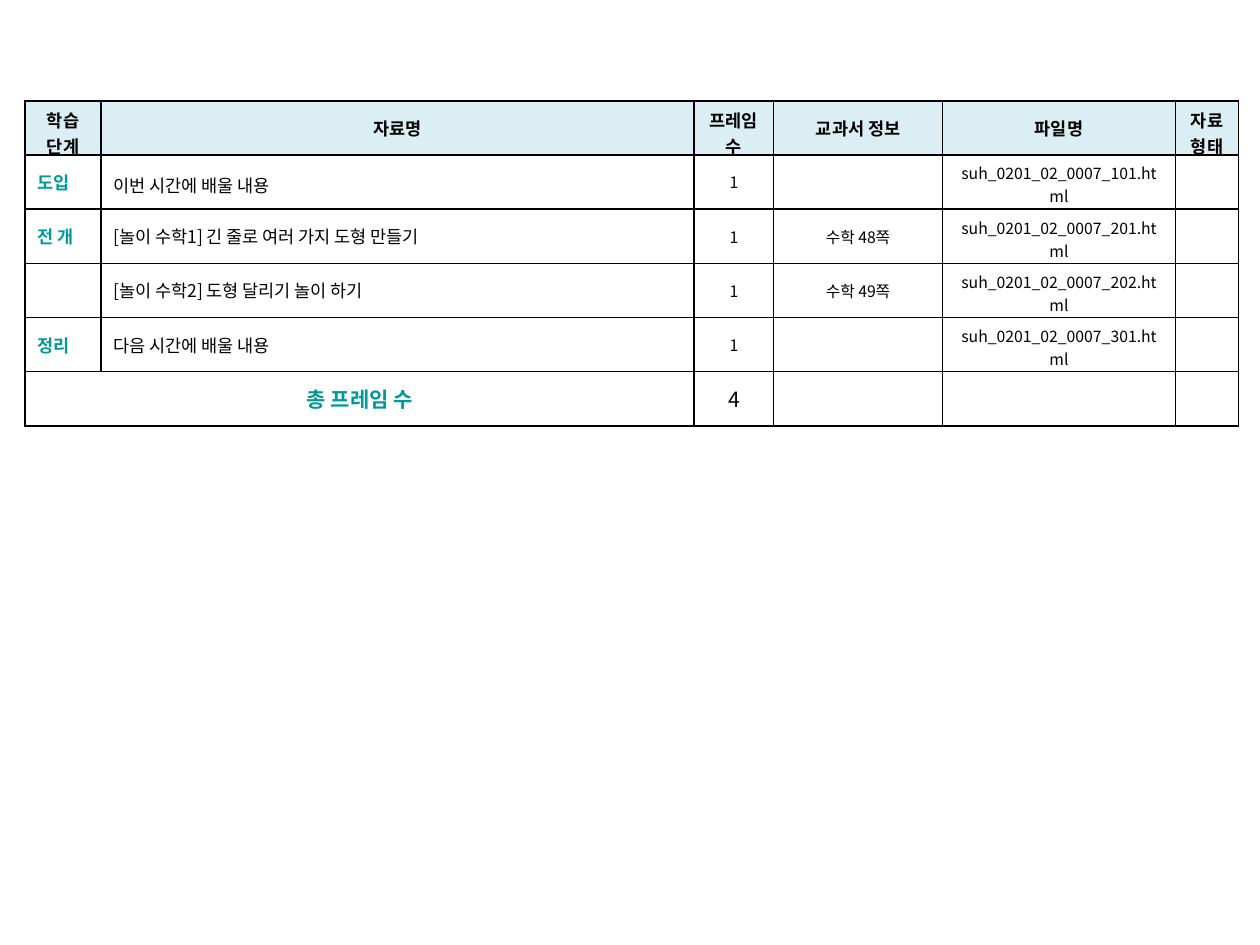
"""Build the lesson material overview table slide."""
from dataclasses import dataclass

from lxml import etree
from pptx import Presentation
from pptx.dml.color import RGBColor
from pptx.enum.text import MSO_ANCHOR, PP_ALIGN
from pptx.oxml.ns import qn
from pptx.table import Table, _Cell
from pptx.util import Inches, Pt

CENTER, LEFT, JUSTIFY = PP_ALIGN.CENTER, PP_ALIGN.LEFT, PP_ALIGN.JUSTIFY
MIDDLE = MSO_ANCHOR.MIDDLE
BLACK = RGBColor(0x00, 0x00, 0x00)
TEAL = RGBColor(0x00, 0x99, 0x99)
PALE_BLUE = RGBColor(0xDB, 0xEE, 0xF4)
FONT_NAME = "Noto Sans CJK KR"
BLANK_LAYOUT = 6
COLUMN_WIDTHS = (0.6, 4.71, 0.63, 1.34, 1.85, 0.5)
ROW_HEIGHT = 0.43
BORDER_SIDES = ("a:lnL", "a:lnR", "a:lnT", "a:lnB")


@dataclass(frozen=True)
class TextStyle:
    """Look of the text in one kind of cell."""
    size: int
    color: RGBColor = BLACK
    bold: bool = False
    alignment: PP_ALIGN = CENTER
    line_spacing: float | None = None
    bottom_margin: float = 0.05


HEADER = TextStyle(10, bold=True)
TALL_HEADER = TextStyle(10, bold=True, bottom_margin=-0.03)
STAGE = TextStyle(10, TEAL, True, JUSTIFY)
OPENING = TextStyle(10, alignment=JUSTIFY, line_spacing=1.2)
TITLE = TextStyle(10, alignment=LEFT)
DETAIL = TextStyle(9)
FILE_NAME = TextStyle(9, bottom_margin=0.01)
TOTAL_LABEL = TextStyle(12, TEAL, True)
TOTAL_COUNT = TextStyle(12)

HEADINGS = ("학습 단계", "자료명", "프레임 수", "교과서 정보", "파일명", "자료\n형태")
HEADING_STYLES = (TALL_HEADER, HEADER, TALL_HEADER, HEADER, HEADER, TALL_HEADER)
MATERIALS = (
    ("도입", "이번 시간에 배울 내용", "1", "", "suh_0201_02_0007_101.html", ""),
    ("전 개", "[놀이 수학1] 긴 줄로 여러 가지 도형 만들기", "1", "수학 48쪽", "suh_0201_02_0007_201.html", ""),
    ("", "[놀이 수학2] 도형 달리기 놀이 하기", "1", "수학 49쪽", "suh_0201_02_0007_202.html", ""),
    ("정리", "다음 시간에 배울 내용", "1", "", "suh_0201_02_0007_301.html", ""),
)
TOTALS = ("총 프레임 수", "", "4", "", "", "")


def add_borders(cell: _Cell) -> None:
    """Draw a one-point black line on every side of a cell."""
    properties = cell._tc.get_or_add_tcPr()
    for position, side in enumerate(BORDER_SIDES):
        line = etree.Element(qn(side), w=str(Pt(1)))
        fill = etree.SubElement(line, qn("a:solidFill"))
        etree.SubElement(fill, qn("a:srgbClr"), val=str(BLACK))
        properties.insert(position, line)


def write_cell(cell: _Cell, text: str, style: TextStyle) -> None:
    """Fill a cell with styled text and outline it."""
    cell.text = text
    cell.vertical_anchor = MIDDLE
    cell.margin_bottom = Inches(style.bottom_margin)
    for paragraph in cell.text_frame.paragraphs:
        paragraph.alignment = style.alignment
        paragraph.line_spacing = style.line_spacing
        for font in [paragraph.font, *(run.font for run in paragraph.runs)]:
            font.name = FONT_NAME
            font.size = Pt(style.size)
            font.bold = style.bold
            font.color.rgb = style.color
            etree.SubElement(font._element, qn("a:ea"), typeface=FONT_NAME)
        if not text:
            etree.SubElement(paragraph._p, qn("a:endParaRPr"), sz=str(style.size * 100))
    if style in (HEADER, TALL_HEADER):
        cell.fill.solid()
        cell.fill.fore_color.rgb = PALE_BLUE
    else:
        cell.fill.background()
    add_borders(cell)


def write_row(table: Table, row: int, texts: tuple[str, ...], styles: tuple[TextStyle, ...]) -> None:
    """Write one table row, pairing each text with its style."""
    for column, (text, style) in enumerate(zip(texts, styles)):
        write_cell(table.cell(row, column), text, style)


def main() -> None:
    """Create the slide and save it."""
    presentation = Presentation()
    presentation.slide_width, presentation.slide_height = Inches(10), Inches(7.5)
    slide = presentation.slides.add_slide(presentation.slide_layouts[BLANK_LAYOUT])
    row_count = len(MATERIALS) + 2
    table = slide.shapes.add_table(
        row_count, len(COLUMN_WIDTHS), Inches(0.2), Inches(0.8),
        Inches(sum(COLUMN_WIDTHS)), Inches(ROW_HEIGHT * row_count),
    ).table
    table.first_row = table.horz_banding = False
    for column, width in zip(table.columns, COLUMN_WIDTHS):
        column.width = Inches(width)
    for row in table.rows:
        row.height = Inches(ROW_HEIGHT)

    write_row(table, 0, HEADINGS, HEADING_STYLES)
    for row, texts in enumerate(MATERIALS, start=1):
        title_style = OPENING if row == 1 else TITLE
        write_row(table, row, texts, (STAGE, title_style, DETAIL, DETAIL, FILE_NAME, DETAIL))
    write_row(table, row_count - 1, TOTALS, (TOTAL_LABEL, TOTAL_LABEL, TOTAL_COUNT) + (DETAIL,) * 3)
    table.cell(row_count - 1, 0).merge(table.cell(row_count - 1, 1))
    presentation.save("out.pptx")


if __name__ == "__main__":
    main()
